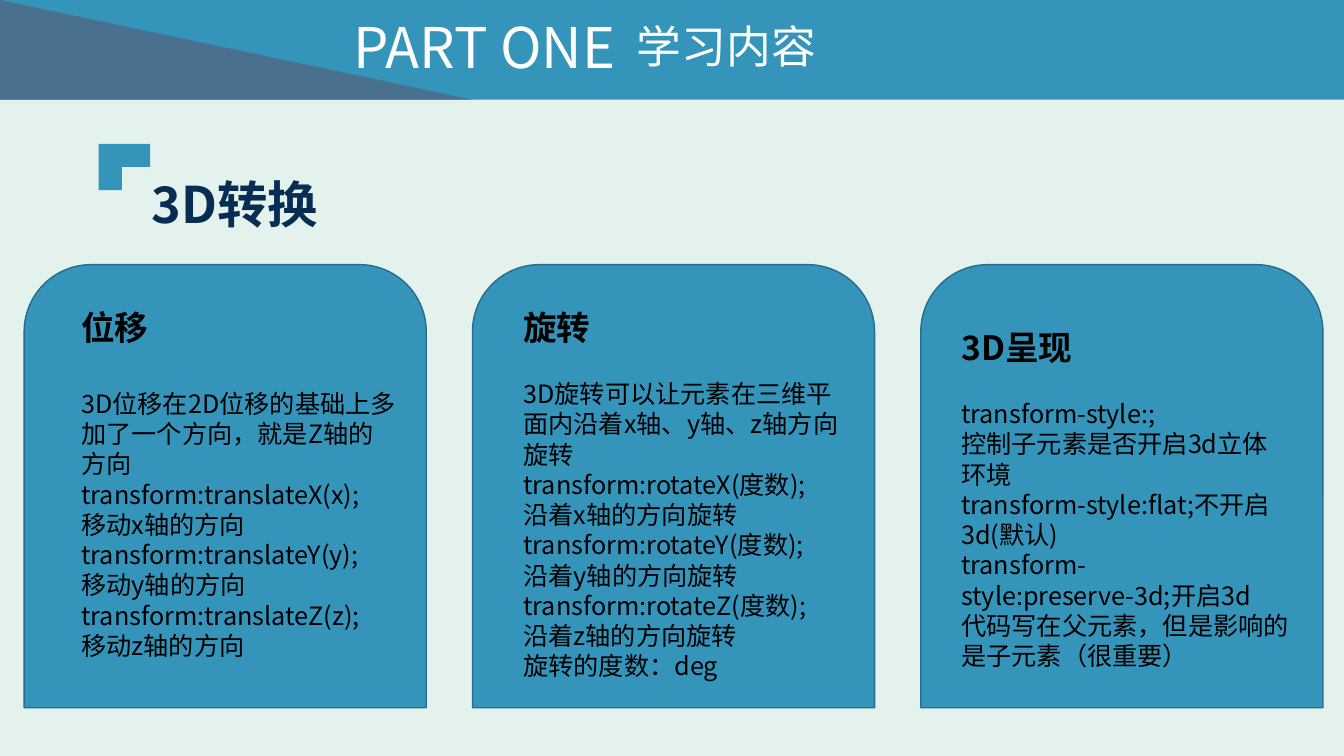
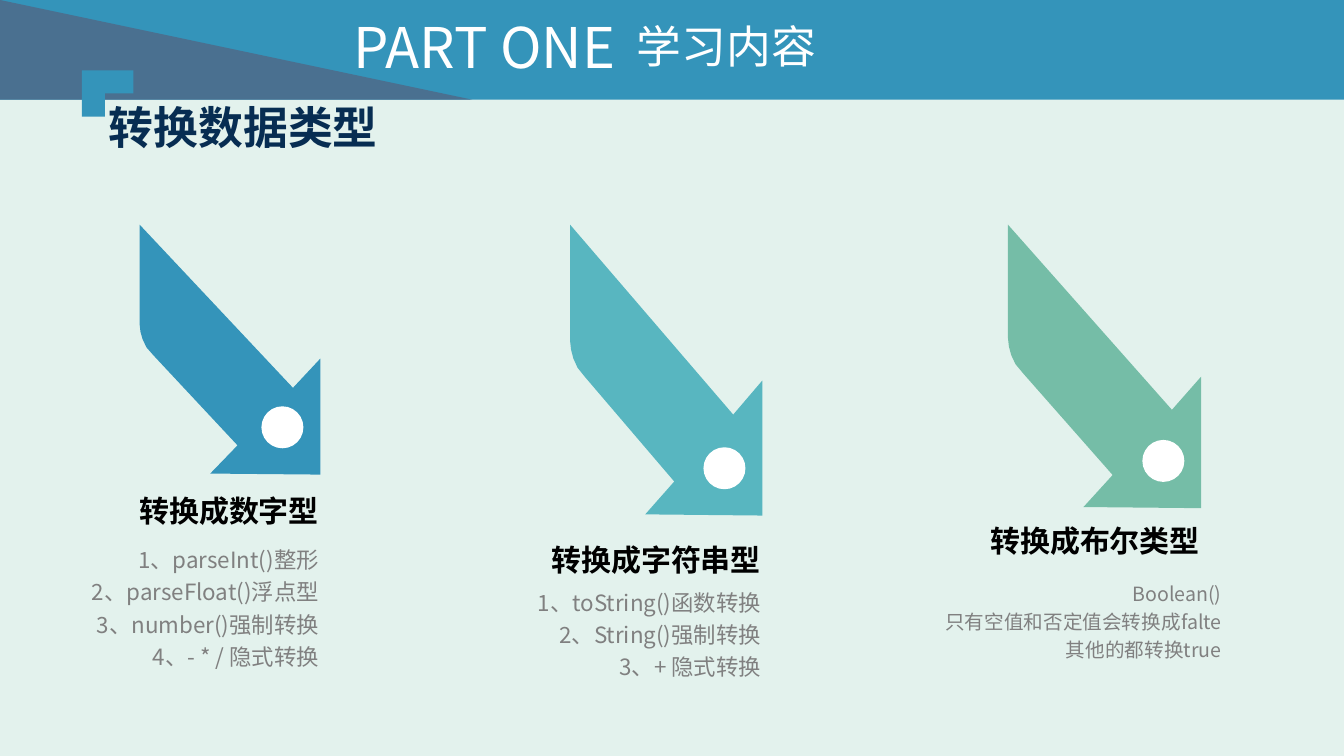
from dataclasses import dataclass

from lxml.etree import SubElement
from pptx import Presentation
from pptx.dml.color import RGBColor
from pptx.enum.shapes import MSO_SHAPE
from pptx.enum.text import MSO_ANCHOR, MSO_AUTO_SIZE, PP_ALIGN
from pptx.oxml.ns import qn
from pptx.util import Emu, Pt

EMU_PER_PX = 9525
SLIDE_W, SLIDE_H = 1280, 720
BAND_H = 95
SANS_SC = "Noto Sans CJK SC"
SANS_JP = "Noto Sans CJK JP"
COLOURS = {
    "page": "E3F2ED",
    "blue": "3494BA",
    "slate": "4A7090",
    "card edge": "266D8A",
    "teal": "58B6C0",
    "green": "75BDA7",
    "navy": "072D52",
    "grey": "808080",
    "black": "000000",
    "white": "FFFFFF",
}
ARROW_OUTLINE = [
    (849, 653), (1000, 536), (1000, 1000), (391, 996), (542, 883),
    (78, 524), (39, 492), (17, 460), (5, 430), (0, 400),
]

CARD_PITCH = 427
CARDS = [
    ((45, 36, 319, 348), 29, "位移", [
        "3D位移在2D位移的基础上多加了一个方向，就是Z轴的方向",
        "transform:translateX(x);",
        "移动x轴的方向",
        "transform:translateY(y);",
        "移动y轴的方向",
        "transform:translateZ(z);",
        "移动z轴的方向",
    ]),
    ((39, 36, 330, 397), 22, "旋转", [
        "3D旋转可以让元素在三维平面内沿着x轴、y轴、z轴方向旋转",
        "transform:rotateX(度数);",
        "沿着x轴的方向旋转",
        "transform:rotateY(度数);",
        "沿着y轴的方向旋转",
        "transform:rotateZ(度数);",
        "沿着z轴的方向旋转",
        "旋转的度数：deg",
    ]),
    ((29, 55, 334, 339), 22, "3D呈现", [
        "transform-style:;",
        "控制子元素是否开启3d立体环境",
        "transform-style:flat;不开启3d(默认)",
        "transform-style:preserve-3d;开启3d",
        "代码写在父元素，但是影响的是子元素（很重要）",
    ]),
]


@dataclass
class Conversion:
    """One arrow with its heading and its list of methods."""

    arrow: tuple
    colour: str
    heading: str
    methods: list
    heading_gap: int
    heading_h: int
    methods_w: int
    methods_h: int
    methods_shift: int = 0
    methods_size: int = 16


CONVERSIONS = [
    Conversion((133, 214, 172, 238), "blue", "转换成数字型",
               ["1、parseInt()整形", "2、parseFloat()浮点型",
                "3、number()强制转换", "4、- * / 隐式转换"],
               17, 43, 253, 129),
    Conversion((543, 214, 183, 277), "teal", "转换成字符串型",
               ["1、toString()函数转换", "2、String()强制转换", "3、+ 隐式转换"],
               25, 46, 270, 80),
    Conversion((960, 214, 184, 270), "green", "转换成布尔类型",
               ["Boolean()", "只有空值和否定值会转换成falte", "其他的都转换true"],
               14, 53, 309, 78, methods_shift=21, methods_size=14),
]


def px(length):
    """Turn pixels into EMU."""
    return Emu(round(length * EMU_PER_PX))


def rgb(name):
    """Look up a palette colour."""
    return RGBColor.from_string(COLOURS[name])


def paint(shape, colour, edge=None):
    """Give a shape a flat fill and an optional thin edge."""
    shape.shadow.inherit = False
    shape.fill.solid()
    shape.fill.fore_color.rgb = rgb(colour)
    if edge:
        shape.line.color.rgb = rgb(edge)
        shape.line.width = Pt(1)
    else:
        shape.line.fill.background()
    return shape


def add_block(slide, kind, box, colour, edge=None):
    """Add a painted preset shape."""
    return paint(slide.shapes.add_shape(kind, *map(px, box)), colour, edge)


def style(paragraph, size, colour, bold=False, font=SANS_SC):
    """Set the font of a whole paragraph, for Latin and East Asian text."""
    paragraph.font.size = Pt(size)
    paragraph.font.bold = bold
    paragraph.font.color.rgb = rgb(colour)
    paragraph.font.name = font
    defaults = paragraph._p.pPr.find(qn("a:defRPr"))
    SubElement(defaults, qn("a:ea"), typeface=font)


def add_text(slide, box, lines):
    """Add a wrapping text box with one paragraph per line."""
    frame = slide.shapes.add_textbox(*map(px, box)).text_frame
    frame.word_wrap = True
    frame.text = "\n".join(lines)
    return frame


def add_band(slide):
    """Draw the band with the part name across the top."""
    add_block(slide, MSO_SHAPE.RECTANGLE, (0, 0, SLIDE_W, BAND_H), "blue")
    wedge = add_block(slide, MSO_SHAPE.ISOSCELES_TRIANGLE, (0, 0, 450, BAND_H), "slate")
    wedge.adjustments[0] = 0
    for box, words, size in [((327, 7, 395, 74), "PART ONE", 40),
                             ((597, 13, 287, 61), "学习内容", 32)]:
        part = add_text(slide, box, [words])
        style(part.paragraphs[0], size, "white", font=SANS_JP)


def add_heading(slide, left, top, words, size, indent):
    """Place the title and its corner mark."""
    corner = add_block(slide, MSO_SHAPE.CORNER, (left, top, 49, 44), "blue")
    corner.rotation = 180
    corner._element.spPr.xfrm.set("flipH", "1")
    title = slide.shapes.title
    title.left, title.top = px(left + indent), px(top + 23)
    title.width, title.height = px(335), px(65)
    frame = title.text_frame
    frame.text = words
    frame.word_wrap = True
    frame.auto_size = MSO_AUTO_SIZE.NONE
    frame.vertical_anchor = MSO_ANCHOR.TOP
    frame.paragraphs[0].alignment = PP_ALIGN.LEFT
    style(frame.paragraphs[0], size, "navy", bold=True)


def add_card(slide, left, top, text_box, gap, heading, details):
    """Draw one card with a heading above its details."""
    add_block(slide, MSO_SHAPE.ROUND_2_SAME_RECTANGLE, (left, top, 383, 422),
              "blue", "card edge")
    dx, dy, width, height = text_box
    frame = add_text(slide, (left + dx, top + dy, width, height), [heading, *details])
    name, *rest = frame.paragraphs
    name.space_after = Pt(gap)
    style(name, 24, "black", bold=True)
    for detail in rest:
        style(detail, 18, "black")


def add_arrow(slide, box, colour):
    """Draw a diagonal arrow that fills the box."""
    left, top, width, height = map(px, box)
    outline = slide.shapes.build_freeform(0, 0, scale=(width / 1000, height / 1000))
    outline.add_line_segments(ARROW_OUTLINE, close=True)
    paint(outline.convert_to_shape(left, top), colour)


def add_right_text(slide, box, lines, size, colour, bold=False, spacing=None):
    """Add right-aligned text without top and bottom insets."""
    frame = add_text(slide, box, lines)
    frame.margin_top = frame.margin_bottom = 0
    for paragraph in frame.paragraphs:
        paragraph.alignment = PP_ALIGN.RIGHT
        paragraph.line_spacing = spacing
        style(paragraph, size, colour, bold)
    return frame


def add_conversion(slide, item):
    """Draw an arrow with its badge, heading and methods."""
    left, top, width, height = item.arrow
    right, bottom = left + width, top + height
    add_arrow(slide, item.arrow, item.colour)
    add_block(slide, MSO_SHAPE.OVAL, (right - 56, bottom - 65, 40, 40), "white")
    text_left = right + 8 - item.methods_w
    heading_top = bottom + item.heading_gap
    add_right_text(slide, (text_left, heading_top, item.methods_w, item.heading_h),
                   [item.heading], 21.4, "black", bold=True)
    methods = add_right_text(
        slide,
        (text_left + item.methods_shift, heading_top + item.heading_h,
         item.methods_w, item.methods_h),
        item.methods, item.methods_size, "grey", spacing=1.2)
    methods.vertical_anchor = MSO_ANCHOR.MIDDLE


def add_page(deck):
    """Add a title-only slide with the shared band."""
    slide = deck.slides.add_slide(deck.slide_layouts.get_by_name("Title Only"))
    add_band(slide)
    return slide


def build_transform_slide(deck):
    """Build the slide with three cards."""
    slide = add_page(deck)
    add_heading(slide, 94, 137, "3D转换", 36, 41)
    for index, card in enumerate(CARDS):
        add_card(slide, 23 + index * CARD_PITCH, 252, *card)


def build_conversion_slide(deck):
    """Build the slide with three arrows."""
    slide = add_page(deck)
    add_heading(slide, 78, 67, "转换数据类型", 32, 16)
    for item in CONVERSIONS:
        add_conversion(slide, item)


def main():
    """Build and save the deck."""
    deck = Presentation()
    deck.slide_width, deck.slide_height = px(SLIDE_W), px(SLIDE_H)
    page = deck.slide_master.background.fill
    page.solid()
    page.fore_color.rgb = rgb("page")
    build_transform_slide(deck)
    build_conversion_slide(deck)
    deck.save("out.pptx")


if __name__ == "__main__":
    main()
